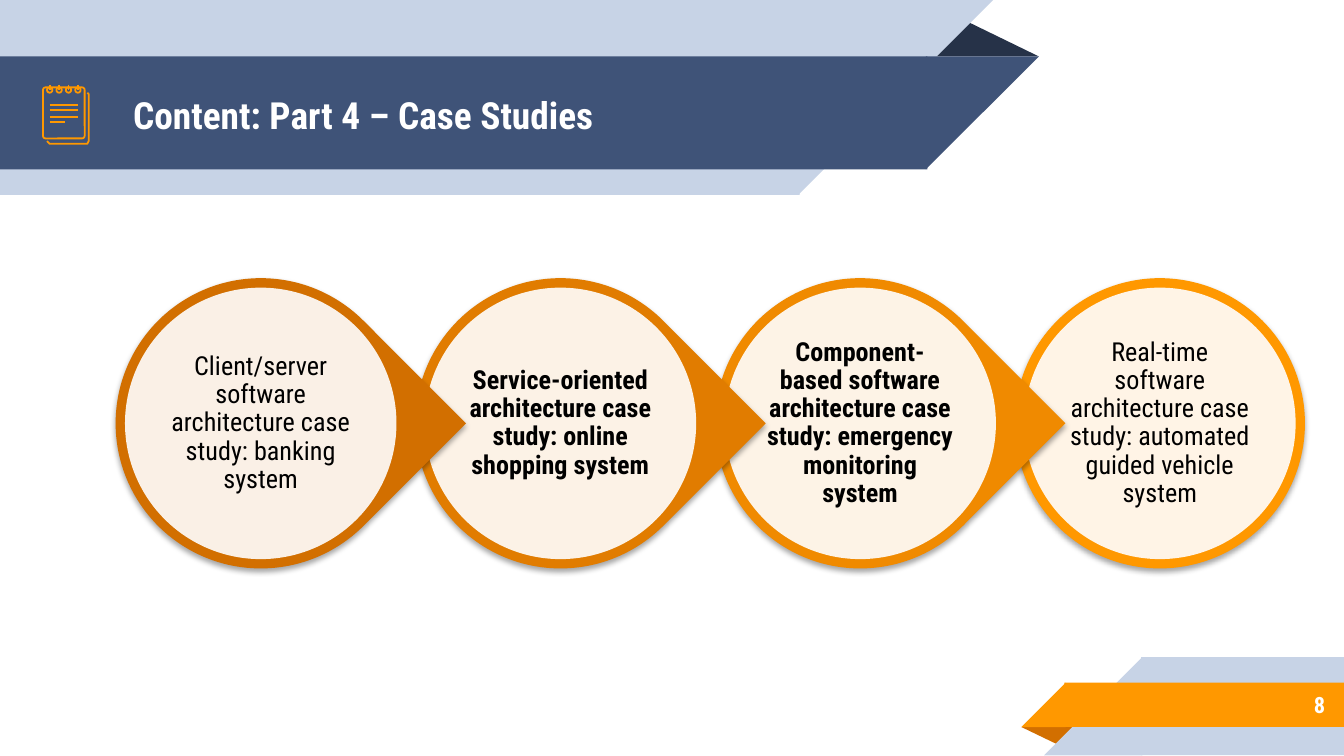
from dataclasses import dataclass

from lxml import etree
from pptx import Presentation
from pptx.dml.color import RGBColor
from pptx.enum import shapes, text
from pptx.oxml import ns
from pptx.util import Inches, Pt

KIND = shapes.MSO_SHAPE
OVERLAP = 0.01  # hides the seam between a band and its slanted end


@dataclass(frozen=True)
class Theme:
    font: str = "Roboto Condensed"
    white: str = "FFFFFF"
    black: str = "000000"
    pale: str = "C7D3E6"
    navy: str = "3F5378"
    midnight: str = "263248"
    orange: str = "FF9800"
    rust: str = "D26F00"
    steps: tuple = ("D26F00", "E17C00", "F08A00", "FF9800")
    title_size: int = 20
    step_size: int = 14
    number_size: int = 12
    icon_line: float = 0.96


THEME = Theme()
STEPS = [
    ("Client/server software architecture case study: banking system", False),
    ("Service-oriented architecture case study: online shopping system", True),
    ("Component-based software architecture case study: "
     "emergency monitoring system", True),
    ("Real-time software architecture case study: "
     "automated guided vehicle system", False),
]


def sub(parent, tag, **attrs):
    return etree.SubElement(parent, ns.qn(tag), attrs)


def add_filled(s, kind, box, color, rotation=0, adjust=None, flip=None):
    """Add a borderless preset shape; flip is flipH or flipV."""
    sp = s.shapes.add_shape(kind, *map(Inches, box))
    sp.fill.solid()
    sp.fill.fore_color.rgb = RGBColor.from_string(color)
    sp.line.fill.background()
    sp.shadow.inherit = False
    sp.rotation = rotation
    if adjust is not None:
        sp.adjustments[0] = adjust
    if flip:
        sp._element.spPr.find(ns.qn("a:xfrm")).set(flip, "1")
    return sp


def add_left_band(s, top, width, height, color):
    """Band from the left edge whose end slants inward at 45 degrees."""
    add_filled(s, KIND.RECTANGLE, (0, top, width + OVERLAP, height), color)
    add_filled(s, KIND.RIGHT_TRIANGLE, (width, top, height, height), color,
               flip="flipV")


def add_right_band(s, left, top, height, color):
    """Band to the right edge whose start slants outward at 45 degrees."""
    add_filled(s, KIND.RECTANGLE,
               (left - OVERLAP, top, 10 - left + OVERLAP, height), color)
    add_filled(s, KIND.RIGHT_TRIANGLE, (left - height, top, height, height),
               color, flip="flipH")


def write_text(sp, words, size, color, align, inset, bold, spacing=None):
    tf = sp.text_frame
    margins = dict.fromkeys(
        ("margin_left", "margin_top", "margin_right", "margin_bottom"),
        Inches(inset))
    frame = {"word_wrap": True, "auto_size": text.MSO_AUTO_SIZE.NONE,
             "vertical_anchor": text.MSO_ANCHOR.MIDDLE, **margins}
    for name, value in frame.items():
        setattr(tf, name, value)
    p = tf.paragraphs[0]
    p.alignment = align
    if spacing:
        p.line_spacing = spacing
    r = p.add_run()
    r.text = words
    for name, value in {"name": THEME.font, "size": Pt(size),
                        "bold": bold}.items():
        setattr(r.font, name, value)
    r.font.color.rgb = RGBColor.from_string(color)


def add_soft_shadow(sp):
    effects = sp._element.spPr.find(ns.qn("a:effectLst"))
    shadow = sub(effects, "a:outerShdw", blurRad=str(Pt(3.1)),
                 dist=str(Pt(1.8)), dir="5400000", rotWithShape="0")
    color = sub(shadow, "a:srgbClr", val=THEME.black)
    sub(color, "a:alpha", val="35000")


def add_step(s, center_x, words, bold, color, is_last):
    def box(size):
        return center_x - size / 2, 3.15 - size / 2, size, size

    if is_last:
        drop = add_filled(s, KIND.OVAL, box(2.16), color)
    else:
        drop = add_filled(s, KIND.TEAR, box(2.16), color, 45, 1)
    add_soft_shadow(drop)
    disc = add_filled(s, KIND.OVAL, box(2.02), THEME.white)
    fill = disc._element.spPr.find(ns.qn("a:solidFill"))
    sub(fill[0], "a:alpha", val="90000")
    label = s.shapes.add_textbox(*map(Inches, box(1.44)))
    write_text(label, words, THEME.step_size, THEME.black,
               text.PP_ALIGN.CENTER, 0.02, bold, 0.9)


def style_outline(sp):
    sp.line.color.rgb = RGBColor.from_string(THEME.orange)
    sp.line.width = Pt(THEME.icon_line)


def add_outline(s, kind, *box):
    sp = s.shapes.add_shape(kind, *map(Inches, box))
    sp.fill.background()
    sp.shadow.inherit = False
    style_outline(sp)
    return sp


def add_stroke(s, *ends):
    line = s.shapes.add_connector(shapes.MSO_CONNECTOR.STRAIGHT,
                                  *map(Inches, ends))
    style_outline(line)
    sub(line._element.spPr, "a:effectLst")


def add_notepad(s):
    edge = [(0.35, 1.05), (0.37, 1.07), (0.65, 1.07), (0.66, 1.05),
            (0.66, 0.7), (0.65, 0.69)]
    points = [(Inches(x), Inches(y)) for x, y in edge]
    builder = s.shapes.build_freeform(*points[0])
    builder.add_line_segments(points[1:], close=False)
    back_page = builder.convert_to_shape()
    back_page.fill.background()
    back_page.shadow.inherit = False
    style_outline(back_page)

    page = add_outline(s, KIND.ROUNDED_RECTANGLE, 0.32, 0.65, 0.31, 0.38)
    page.adjustments[0] = 0.06
    for right, y in ((0.58, 0.78), (0.58, 0.82), (0.58, 0.87), (0.48, 0.91)):
        add_stroke(s, 0.37, y, right, y)
    for i in range(4):
        x = 0.37 + 0.07 * i
        add_outline(s, KIND.OVAL, x - 0.02, 0.65, 0.04, 0.04)
        add_stroke(s, x, 0.63, x, 0.67)


def add_ribbons(s):
    add_filled(s, KIND.ISOSCELES_TRIANGLE, (6.88, 0.14, 0.85, 0.28),
               THEME.midnight, adjust=0.324)
    add_left_band(s, 0, 5.94, 1.45, THEME.pale)
    add_left_band(s, 0.42, 6.89, 0.84, THEME.navy)
    add_filled(s, KIND.ISOSCELES_TRIANGLE, (7.6, 5.41, 0.43, 0.14),
               THEME.rust, 180, 0.324)
    add_right_band(s, 8.5, 4.89, 0.73, THEME.pale)
    add_right_band(s, 7.93, 5.08, 0.33, THEME.orange)


def add_title(s, words):
    title = s.shapes.title
    s.shapes._spTree.append(title._element)  # in front of the ribbons
    for name, value in {"left": 0.89, "top": 0.43,
                        "width": 5.75, "height": 0.84}.items():
        setattr(title, name, Inches(value))
    write_text(title, words, THEME.title_size, THEME.white,
               text.PP_ALIGN.LEFT, 0.1, True)


def add_page_number(s, number):
    sp = s.shapes.add_textbox(*map(Inches, (8.33, 5.07, 1.63, 0.35)))
    write_text(sp, number, THEME.number_size, THEME.white,
               text.PP_ALIGN.RIGHT, 0.1, True)


def main():
    prs = Presentation()
    prs.slide_width = Inches(10)
    prs.slide_height = Inches(10 * 9 / 16)
    s = prs.slides.add_slide(prs.slide_layouts[5])
    add_ribbons(s)
    add_title(s, "Content: Part 4 – Case Studies")
    add_page_number(s, "8")
    last = len(STEPS) - 1
    for i in range(last, -1, -1):  # each tip overlaps the next step
        words, bold = STEPS[i]
        add_step(s, 1.94 + 2.23 * i, words, bold, THEME.steps[i], i == last)
    add_notepad(s)
    prs.save("out.pptx")


if __name__ == "__main__":
    main()
